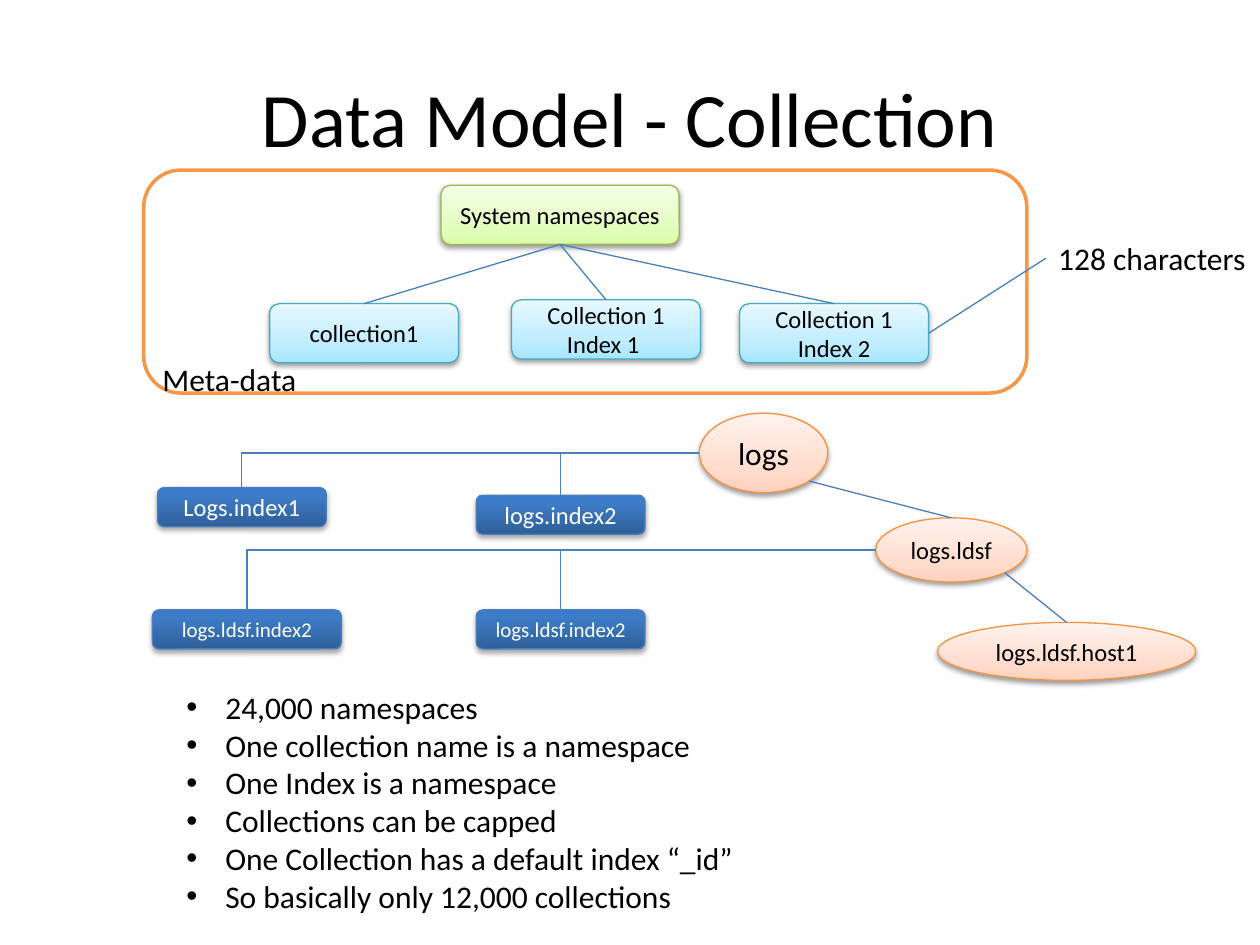
from math import sqrt

from lxml import etree
from pptx import Presentation
from pptx.dml.color import RGBColor
from pptx.enum.shapes import MSO_CONNECTOR, MSO_SHAPE
from pptx.enum.text import MSO_ANCHOR, PP_ALIGN
from pptx.oxml.ns import qn
from pptx.util import Inches, Pt

ROUNDED, OVAL = MSO_SHAPE.ROUNDED_RECTANGLE, MSO_SHAPE.OVAL
STRAIGHT, ELBOW = MSO_CONNECTOR.STRAIGHT, MSO_CONNECTOR.ELBOW
MIDDLE, TOP = MSO_ANCHOR.MIDDLE, MSO_ANCHOR.TOP
CENTER, LEFT = PP_ALIGN.CENTER, PP_ALIGN.LEFT

COLORS = {"black": "000000", "white": "FFFFFF", "frame": "F79646", "link": "4B7EBC"}

# Gradient stops run from the bottom edge to the top edge
STYLES = {
    "system": dict(stops=[(0, "DAFDA7"), (35, "E4FCC2"), (100, "F5FFE7")],
                   line="98B955", text="black", alpha=38, distance=1.6),
    "meta": dict(stops=[(0, "A7E6FF"), (35, "C1EDFF"), (100, "E7F8FF")],
                 line="46AAC5", text="black", alpha=38, distance=1.6),
    "index": dict(stops=[(0, "2F5F99"), (80, "3D7CC7"), (100, "3A7CCB")],
                  line="4B7EBC", text="white", alpha=35, distance=1.8),
    "collection": dict(stops=[(0, "FFD2BD"), (35, "FFDED0"), (100, "FFF2ED")],
                       line="F69240", text="black", alpha=38, distance=1.6),
}


def cells(*counts):
    """Turn grid cells (100 columns by 75 rows) into slide lengths."""
    return [Inches(count / 10) for count in counts]


def color_element(parent, color):
    return etree.SubElement(parent, qn("a:srgbClr"), val=color)


def write(frame, lines, size=14, color="black", align=CENTER, anchor=MIDDLE,
          wrap=True, bullet=None):
    frame.word_wrap = wrap
    frame.vertical_anchor = anchor
    for number, line in enumerate(lines):
        paragraph = frame.add_paragraph() if number else frame.paragraphs[0]
        paragraph.alignment = align
        run = paragraph.add_run()
        run.text = line
        run.font.name, run.font.size = "Calibri", Pt(size)
        run.font.color.rgb = RGBColor.from_string(COLORS[color])
        if bullet:
            properties = paragraph._p.get_or_add_pPr()
            properties.set("marL", str(Inches(0.31)))
            properties.set("indent", str(-Inches(0.31)))
            etree.SubElement(properties, qn("a:buFont"), typeface="Arial")
            etree.SubElement(properties, qn("a:buChar"), char=bullet)


class Diagram:
    def __init__(self, slide):
        self.shapes = slide.shapes

    def frame(self, box):
        shape = self.shapes.add_shape(ROUNDED, *cells(*box))
        shape.shadow.inherit = False
        shape.fill.solid()
        shape.fill.fore_color.rgb = RGBColor.from_string(COLORS["white"])
        shape.line.color.rgb = RGBColor.from_string(COLORS["frame"])
        shape.line.width = Pt(2)

    def node(self, box, label, style, kind=ROUNDED, size=14):
        look = STYLES[style]
        shape = self.shapes.add_shape(kind, *cells(*box))
        shape.fill.gradient()
        shape.fill.gradient_angle = 90
        properties = shape._element.spPr
        stops = properties.find(".//" + qn("a:gsLst"))
        for old in list(stops):
            stops.remove(old)
        for position, color in look["stops"]:
            stop = etree.SubElement(stops, qn("a:gs"), pos=str(position * 1000))
            color_element(stop, color)
        shape.line.color.rgb = RGBColor.from_string(look["line"])
        shape.line.width = Pt(0.75)
        # Soft shadow straight below
        shape.shadow.inherit = False
        shadow = etree.SubElement(
            properties.find(qn("a:effectLst")), qn("a:outerShdw"),
            blurRad=str(Pt(3.1)), dist=str(Pt(look["distance"])),
            dir="5400000", rotWithShape="0")
        etree.SubElement(color_element(shadow, COLORS["black"]), qn("a:alpha"),
                         val=str(look["alpha"] * 1000))
        write(shape.text_frame, [label], size=size, color=look["text"])
        return box

    def link(self, start, end, kind=STRAIGHT):
        line = self.shapes.add_connector(kind, *cells(*start, *end))
        line.line.color.rgb = RGBColor.from_string(COLORS["link"])
        line.line.width = Pt(0.75)
        properties = line._element.spPr
        etree.SubElement(properties, qn("a:effectLst"))
        if kind == ELBOW:  # a single corner
            properties.find(qn("a:prstGeom")).set("prst", "bentConnector2")

    def text(self, box, lines, **style):
        write(self.shapes.add_textbox(*cells(*box)).text_frame, lines, **style)


def at(box, across, down):
    """Point at a share of a box's width and height."""
    left, top, width, height = box
    return left + width * across, top + height * down


def top_of(box):
    return at(box, 0.5, 0)


def lower_right(box):
    share = 0.5 + sqrt(0.5) / 2
    return at(box, share, share)


presentation = Presentation()
presentation.slide_width, presentation.slide_height = cells(100, 75)
diagram = Diagram(presentation.slides.add_slide(presentation.slide_layouts[6]))

# Frame and title
diagram.frame((11.4, 13.5, 70.1, 17.7))
diagram.text((5, 3, 90, 12.5), ["Data Model - Collection"], size=44)

# Meta-data tree
system = diagram.node((35, 14.7, 18.9, 4.7), "System namespaces", "system")
for left, top, label in [(21.4, 24.1, "collection1"),
                         (40.6, 23.8, "Collection 1 Index 1 "),
                         (58.7, 24.1, "Collection 1 Index 2")]:
    entry = diagram.node((left, top, 15, 4.7), label, "meta")
    diagram.link(at(system, 0.5, 1), top_of(entry))
diagram.text((11.8, 28.1, 12.8, 4), ["Meta-data"], size=18, anchor=TOP, wrap=False)

# Name length note, tied to the last entry
note = (83, 18.5, 17, 4)
diagram.text(note, ["128 characters"], size=18, align=LEFT, anchor=TOP, wrap=False)
diagram.link(at(note, 0, 0.5), at(entry, 1, 0.5))

# Collections, each linked to the next
collections = [
    diagram.node(box, label, "collection", OVAL, size)
    for box, label, size in [((55.5, 32.8, 10.2, 6.3), "logs", 18),
                             ((69.5, 41.1, 12, 5.1), "logs.ldsf", 14),
                             ((74.4, 49.4, 20.5, 4.6), "logs.ldsf.host1", 14)]]
for parent, child in zip(collections, collections[1:]):
    diagram.link(lower_right(parent), top_of(child))

# Two indexes for each of the first two collections
index_rows = [
    (14, ((12.5, 38.7, 13.4, 3.1), "Logs.index1"),
     ((37.8, 39.3, 13.4, 3.1), "logs.index2")),
    (12, ((12.1, 48.4, 15, 3.1), "logs.ldsf.index2"),
     ((37.8, 48.4, 13.4, 3.1), "logs.ldsf.index2")),
]
for collection, (size, outer, inner) in zip(collections, index_rows):
    far, near = [diagram.node(box, label, "index", size=size)
                 for box, label in (outer, inner)]
    start = at(collection, 0, 0.5)
    diagram.link(start, top_of(far), ELBOW)
    diagram.link(top_of(near), (top_of(near)[0], start[1]))

# Limits
diagram.text((13.8, 54.1, 70.9, 19.2), [
    "24,000 namespaces",
    "One collection name is a namespace",
    "One Index is a namespace",
    "Collections can be capped",
    "One Collection has a default index “_id”",
    "So basically only 12,000 collections",
], size=18, align=LEFT, anchor=TOP, bullet="•")

presentation.save("out.pptx")
